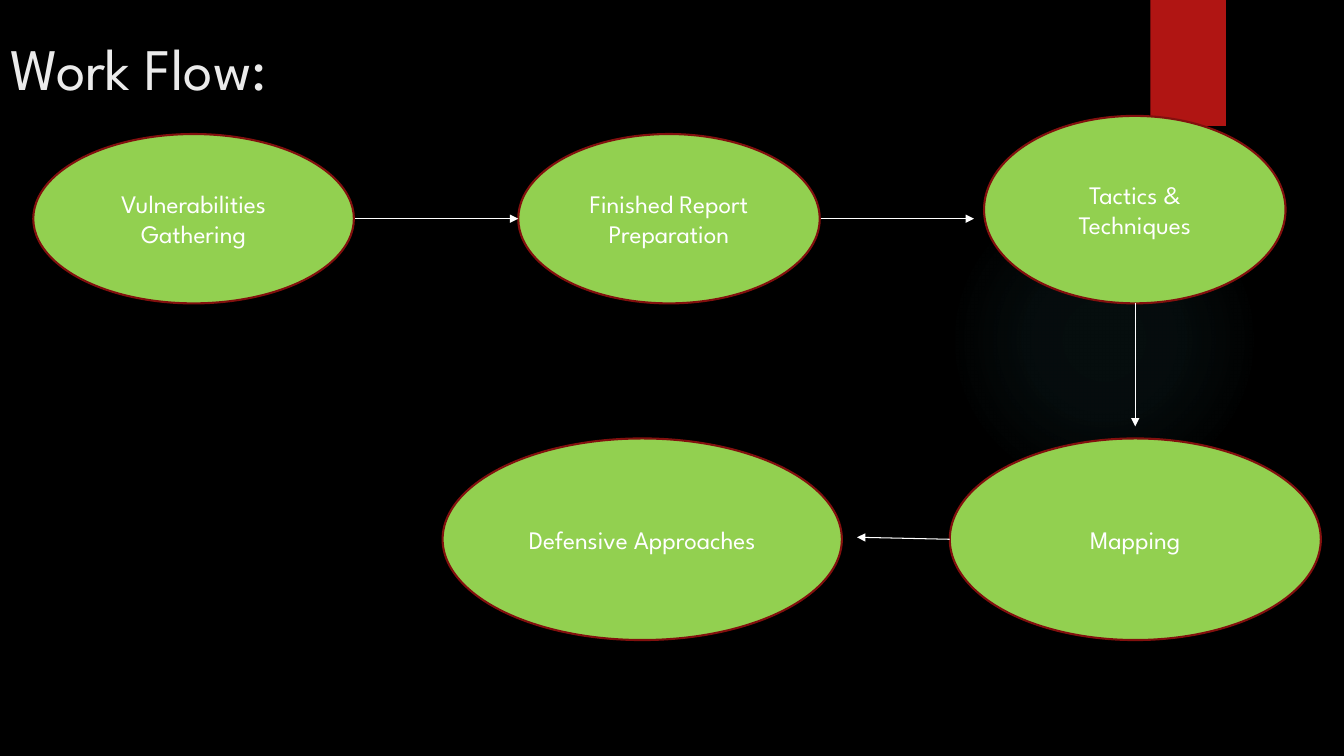
from pptx import Presentation
from pptx.dml.color import RGBColor
from pptx.enum.shapes import MSO_CONNECTOR, MSO_SHAPE
from pptx.enum.text import MSO_ANCHOR, PP_ALIGN
from pptx.oxml import parse_xml
from pptx.oxml.ns import nsdecls, qn
from pptx.util import Inches, Pt
from lxml.etree import SubElement

THEME = {
    "font": "League Spartan",
    "background": "000000", "bar": "B01513", "glow": "50B9C1",
    "oval": "92D050", "outline": "82100E", "white": "FFFFFF", "title": "EBEBEB",
    "title_size": 42, "body_size": 18, "outline_width": 1.5, "arrow_width": 0.75,
}


def color(name):
    return RGBColor.from_string(THEME[name])


def write(shape, text, size, ink, align):
    tf = shape.text_frame
    frame_format = {"word_wrap": True, "vertical_anchor": MSO_ANCHOR.MIDDLE}
    for key, value in frame_format.items():
        setattr(tf, key, value)
    p = tf.paragraphs[0]
    p.alignment = align
    r = p.add_run()
    r.text = text
    font_format = {"name": THEME["font"], "size": Pt(THEME[size]), "bold": False}
    for key, value in font_format.items():
        setattr(r.font, key, value)
    r.font.color.rgb = color(ink)


prs = Presentation()
prs.slide_width, prs.slide_height = Inches(13.33), Inches(7.5)
s = prs.slides.add_slide(prs.slide_layouts[5])
s.background.fill.solid()
s.background.fill.fore_color.rgb = color("background")

glow = s.shapes.add_shape(MSO_SHAPE.OVAL, *map(Inches, (9.41, 1.83, 3.08, 3.08)))
glow.shadow.inherit = False
glow.line.fill.background()
stops = "".join(
    f'<a:gs pos="{pos * 1000}"><a:srgbClr val="{THEME["glow"]}">'
    f'<a:alpha val="{alpha * 1000}"/></a:srgbClr></a:gs>'
    for pos, alpha in ((0, 7), (36, 6), (69, 0))
)
glow.element.spPr.find(qn("a:prstGeom")).addnext(parse_xml(
    f'<a:gradFill {nsdecls("a")} rotWithShape="1"><a:gsLst>{stops}</a:gsLst>'
    '<a:path path="circle"><a:fillToRect l="50000" t="50000" r="50000" b="50000"/>'
    '</a:path></a:gradFill>'
))

bar = s.shapes.add_shape(MSO_SHAPE.RECTANGLE, *map(Inches, (11.41, 0, 0.75, 1.25)))
bar.shadow.inherit = False
bar.fill.solid()
bar.fill.fore_color.rgb = color("bar")
bar.line.fill.background()

title = s.shapes.title
title_box = {"left": 0, "top": 0.21, "width": 10.28, "height": 0.9}
for key, value in title_box.items():
    setattr(title, key, Inches(value))
write(title, "Work Flow:", "title_size", "title", PP_ALIGN.LEFT)

steps = [
    ("Vulnerabilities Gathering", 0.33, 1.33, 3.18, 1.68),
    ("Finished Report Preparation", 5.14, 1.33, 2.99, 1.68),
    ("Tactics & Techniques", 9.76, 1.15, 2.99, 1.86),
    ("Mapping", 9.42, 4.35, 3.68, 2),
    ("Defensive Approaches", 4.39, 4.35, 3.96, 2),
]
for text, *box in steps:
    sp = s.shapes.add_shape(MSO_SHAPE.OVAL, *map(Inches, box))
    sp.shadow.inherit = False
    sp.fill.solid()
    sp.fill.fore_color.rgb = color("oval")
    sp.line.color.rgb = color("outline")
    sp.line.width = Pt(THEME["outline_width"])
    write(sp, text, "body_size", "white", PP_ALIGN.CENTER)

arrows = [
    (3.52, 2.17, 5.14, 2.17),
    (8.14, 2.17, 9.66, 2.17),
    (11.26, 3.01, 11.26, 4.23),
    (9.42, 5.35, 8.5, 5.33),
]
for ends in arrows:
    arrow = s.shapes.add_connector(MSO_CONNECTOR.STRAIGHT, *map(Inches, ends))
    arrow.line.color.rgb = color("white")
    arrow.line.width = Pt(THEME["arrow_width"])
    SubElement(arrow.line._get_or_add_ln(), qn("a:tailEnd"), type="triangle")
    SubElement(arrow.element.spPr, qn("a:effectLst"))

prs.save("out.pptx")
